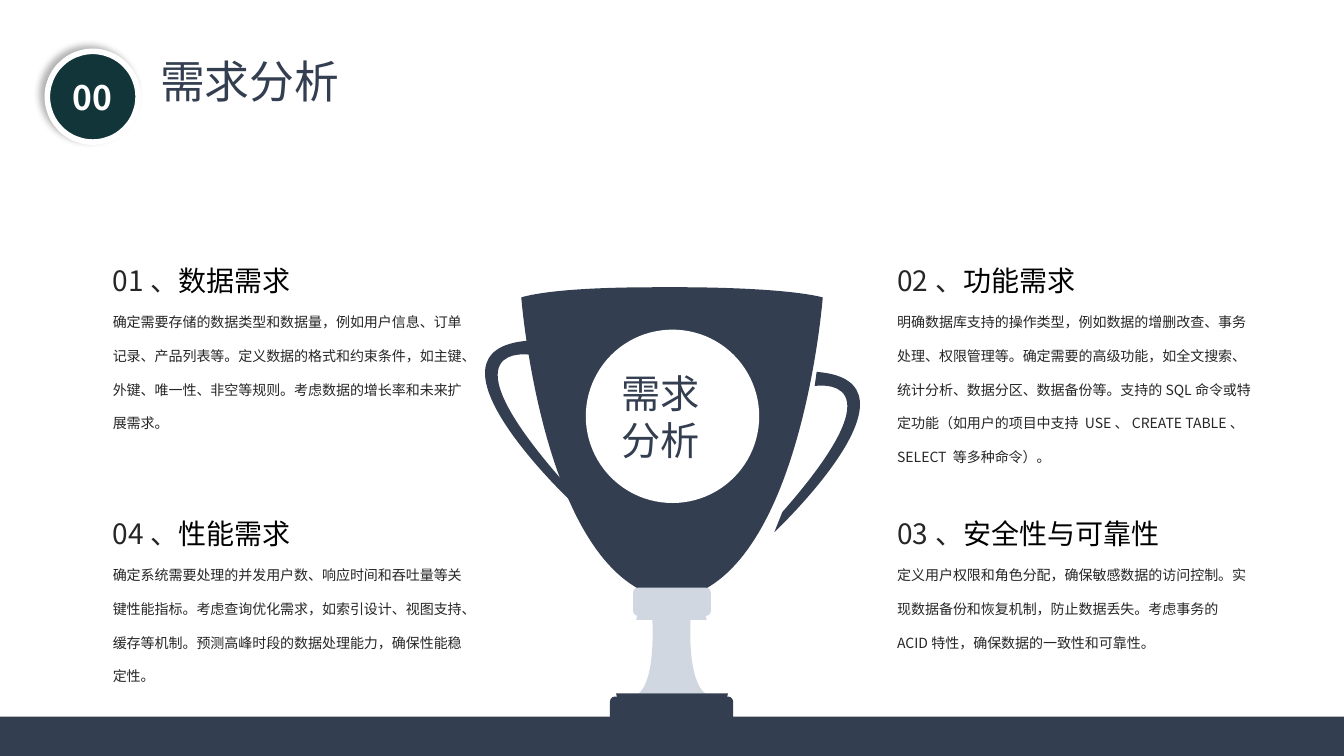
from dataclasses import dataclass

from lxml.etree import SubElement
from pptx import Presentation
from pptx.dml.color import RGBColor
from pptx.enum.shapes import MSO_SHAPE
from pptx.enum.text import MSO_ANCHOR, MSO_AUTO_SIZE, PP_ALIGN
from pptx.oxml.ns import qn
from pptx.util import Inches, Pt

COLORS = {"navy": "333E50", "silver": "D1D7E1", "white": "FFFFFF",
          "green": "123539", "text": "262626", "black": "000000"}
FONT = "Noto Sans CJK SC"
CENTER_X = 6.67
HANDLE_DROP = 0.31

Point = tuple[float, float]


@dataclass
class Outline:
    """Each segment holds one point for a line or three for a cubic curve."""
    start: Point
    segments: list[tuple[Point, ...]]
    color: str
    close: bool = True


@dataclass
class Part:
    kind: MSO_SHAPE
    box: tuple[float, float, float, float]
    color: str
    rotation: int = 0
    adjust: float | None = None


@dataclass
class Requirement:
    left: float
    top: float
    height: float
    number: str
    title: str
    body: str


HANDLE = Outline((5.26, 3.52), [
    ((5.26, 3.52), (4.35, 3.37), (5.58, 4.77)),
    ((5.66, 4.97), (5.66, 4.97), (5.66, 4.97)),
    ((5.66, 4.97), (4.07, 3.47), (5.24, 3.38))], "navy", close=False)
CUP = Outline((6.56, 2.85), [
    ((6.63, 2.85), (6.66, 2.85), (6.66, 2.85)),
    ((6.66, 2.85), (7.71, 2.84), (8.16, 2.95)),
    ((8.16, 2.95), (7.98, 5.29), (7, 5.84)),
    ((6.66, 5.84), (6.66, 5.84), (6.66, 5.84)),
    ((6.66, 5.84), (6.66, 5.84), (6.33, 5.84)),
    ((5.35, 5.29), (5.17, 2.95), (5.17, 2.95)),
    ((5.53, 2.85), (6.29, 2.85), (6.56, 2.85))], "navy")
STEM = Outline((6.47, 6.13), [
    ((6.66, 6.13), (6.66, 6.13), (6.66, 6.13)),
    ((6.66, 6.13), (6.66, 6.13), (6.85, 6.13)),
    ((6.82, 6.81), (7, 6.88), (7, 6.88)),
    ((6.66, 6.88),),
    ((6.33, 6.88),),
    ((6.33, 6.88), (6.5, 6.81), (6.47, 6.13))], "silver")

TROPHY_PARTS = [
    Part(MSO_SHAPE.ROUNDED_RECTANGLE, (6.28, 5.83, 0.77, 0.28), "silver", adjust=0.17),
    Part(MSO_SHAPE.TRAPEZOID, (6.31, 6.11, 0.7, 0.04), "silver"),
    Part(MSO_SHAPE.ROUNDED_RECTANGLE, (6.05, 6.91, 1.22, 0.28), "navy", 180, 0.17),
    Part(MSO_SHAPE.TRAPEZOID, (6.11, 6.88, 1.11, 0.04), "navy", 180),
]
MEDALLION = Part(MSO_SHAPE.OVAL, (5.81, 3.27, 1.72, 1.72), "white")
BADGE = Part(MSO_SHAPE.OVAL, (0.47, 0.51, 0.9, 0.9), "green")
FOOTER = Part(MSO_SHAPE.RECTANGLE, (0, 7.11, 13.33, 0.39), "navy")

LEFT, RIGHT, UPPER, LOWER = 1.02, 8.8, 2.23, 4.74
REQUIREMENTS = [
    Requirement(LEFT, UPPER, 2.07, "01、", "数据需求",
                "确定需要存储的数据类型和数据量，例如用户信息、订单记录、产品列表等。"
                "定义数据的格式和约束条件，如主键、外键、唯一性、非空等规则。"
                "考虑数据的增长率和未来扩展需求。"),
    Requirement(LEFT, LOWER, 2.07, "04、", "性能需求",
                "确定系统需要处理的并发用户数、响应时间和吞吐量等关键性能指标。"
                "考虑查询优化需求，如索引设计、视图支持、缓存等机制。"
                "预测高峰时段的数据处理能力，确保性能稳定性。"),
    Requirement(RIGHT, UPPER, 2.41, "02、", "功能需求",
                "明确数据库支持的操作类型，例如数据的增删改查、事务处理、权限管理等。"
                "确定需要的高级功能，如全文搜索、统计分析、数据分区、数据备份等。"
                "支持的SQL命令或特定功能（如用户的项目中支持 USE、CREATE TABLE、"
                "SELECT 等多种命令）。"),
    Requirement(RIGHT, LOWER, 1.78, "03、", "安全性与可靠性",
                "定义用户权限和角色分配，确保敏感数据的访问控制。"
                "实现数据备份和恢复机制，防止数据丢失。"
                "考虑事务的ACID特性，确保数据的一致性和可靠性。"),
]


def rgb(name: str) -> RGBColor:
    return RGBColor.from_string(COLORS[name])


def paint(sp, color: str) -> None:
    sp.shadow.inherit = False
    sp.fill.solid()
    sp.fill.fore_color.rgb = rgb(color)
    sp.line.fill.background()


def add_run(p, text: str, size: float, color: str, bold: bool = False) -> None:
    r = p.add_run()
    r.text = text
    for name, value in {"name": FONT, "size": Pt(size), "bold": bold}.items():
        setattr(r.font, name, value)
    r.font.color.rgb = rgb(color)
    SubElement(r.font._element, qn("a:ea"), typeface=FONT)


def add_outline(s, outline: Outline, mirror: bool = False) -> None:
    points = [outline.start] + [pt for segment in outline.segments for pt in segment]
    if mirror:
        points = [(2 * CENTER_X - x, y + HANDLE_DROP) for x, y in points]
    emu = [(Inches(x), Inches(y)) for x, y in points]
    builder = s.shapes.build_freeform(*emu[0])
    builder.add_line_segments(emu[1:], close=outline.close)
    sp = builder.convert_to_shape()
    paint(sp, outline.color)

    # Merge each three-point segment into one cubic curve
    lines = iter(list(sp._element.iter(qn("a:lnTo"))))
    for segment in outline.segments:
        first, *others = [next(lines) for _ in segment]
        if others:
            first.tag = qn("a:cubicBezTo")
            for line in others:
                first.append(line[0])
                line.getparent().remove(line)


def add_part(s, part: Part):
    sp = s.shapes.add_shape(part.kind, *map(Inches, part.box))
    paint(sp, part.color)
    sp.rotation = part.rotation
    if part.adjust is not None:
        sp.adjustments[0] = part.adjust
    return sp


def add_label(sp, text: str, size: float, color: str, align: PP_ALIGN, bold: bool = False) -> None:
    tf = sp.text_frame
    tf.vertical_anchor = MSO_ANCHOR.MIDDLE
    p = tf.paragraphs[0]
    p.alignment = align
    add_run(p, text, size, color, bold)


def add_text_frame(s, left: float, top: float, width: float, height: float):
    tf = s.shapes.add_textbox(*map(Inches, (left, top, width, height))).text_frame
    for name, value in {"word_wrap": True, "auto_size": MSO_AUTO_SIZE.SHAPE_TO_FIT_TEXT}.items():
        setattr(tf, name, value)
    return tf


def add_requirement(s, req: Requirement) -> None:
    tf = add_text_frame(s, req.left, req.top, 3.71, req.height)
    heading, body = tf.paragraphs[0], tf.add_paragraph()
    add_run(heading, req.number, 20, "text")
    add_run(heading, req.title, 20, "black")
    add_run(body, req.body, 10, "text")
    for p in (heading, body):
        p.line_spacing = 2.0


def add_badge(s) -> None:
    sp = add_part(s, BADGE)
    sp.line.color.rgb = rgb("white")
    sp.line.width = Pt(4)
    effects = sp._element.spPr.find(qn("a:effectLst"))
    shadow = SubElement(effects, qn("a:outerShdw"), blurRad=str(Pt(5.1)), dist=str(Pt(4)),
                        dir=str(215 * 60000), algn="ctr", rotWithShape="0")
    color = SubElement(shadow, qn("a:srgbClr"), val=COLORS["black"])
    SubElement(color, qn("a:alpha"), val="30000")
    add_label(sp, "00", 24, "white", PP_ALIGN.CENTER, bold=True)


def main() -> None:
    prs = Presentation()
    prs.slide_width, prs.slide_height = Inches(13.33), Inches(7.5)
    s = prs.slides.add_slide(prs.slide_layouts[6])

    # Trophy
    add_outline(s, HANDLE)
    add_outline(s, HANDLE, mirror=True)
    add_outline(s, CUP)
    add_outline(s, STEM)
    for part in TROPHY_PARTS:
        add_part(s, part)
    add_label(add_part(s, MEDALLION), "需求分析", 28, "navy", PP_ALIGN.LEFT)

    # Requirements
    for req in REQUIREMENTS:
        add_requirement(s, req)

    # Title and footer
    add_badge(s)
    tf = add_text_frame(s, 1.49, 0.48, 3.39, 0.64)
    add_run(tf.paragraphs[0], "需求分析", 32, "navy")
    add_part(s, FOOTER)

    prs.save("out.pptx")


if __name__ == "__main__":
    main()
